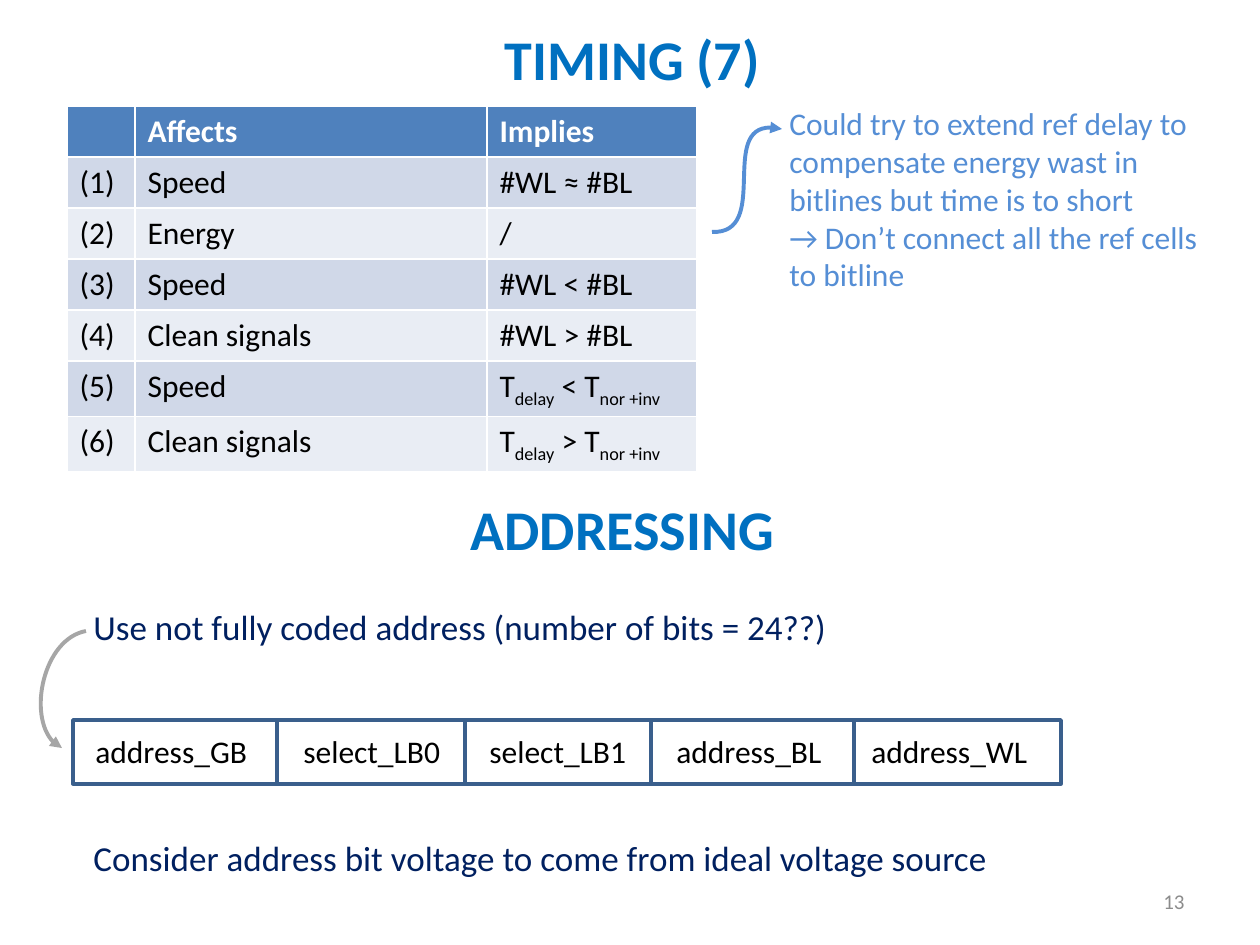
from lxml import etree
from pptx import Presentation
from pptx import util as u
from pptx.dml.color import RGBColor
from pptx.enum import shapes, text
from pptx.oxml import ns

PX = 914400 / 126
FONT = "Calibri"
WHITE = RGBColor(0xFF, 0xFF, 0xFF)
BLACK = RGBColor(0x00, 0x00, 0x00)
TITLE_BLUE = RGBColor(0x00, 0x70, 0xC0)
NOTE_BLUE = RGBColor(0x55, 0x8E, 0xD5)
NAVY = RGBColor(0x00, 0x20, 0x60)
FRAME_BLUE = RGBColor(0x3A, 0x5F, 0x8C)
HEADER_BLUE = RGBColor(0x4F, 0x81, 0xBD)
BANDS = (RGBColor(0xD0, 0xD8, 0xE8), RGBColor(0xE9, 0xED, 0xF4))
GREY = RGBColor(0x8C, 0x8C, 0x8C)
ARROW_GREY = RGBColor(0xA6, 0xA6, 0xA6)

COLUMNS = (68, 352, 210)
ROW_HEIGHT = 51
EFFECTS = (
    ("", "Affects", "Implies"),
    ("(1)", "Speed", "#WL ≈ #BL"),
    ("(2)", "Energy", "/"),
    ("(3)", "Speed", "#WL < #BL"),
    ("(4)", "Clean signals", "#WL > #BL"),
    ("(5)", "Speed", "T|delay| < T|nor +inv"),
    ("(6)", "Clean signals", "T|delay| > T|nor +inv"),
)
NOTE = (
    "Could try to extend ref delay to compensate energy wast in bitlines "
    "but time is to short\n→ Don’t connect all the ref cells to bitline"
)
FIELDS = (
    ("address_GB", 83),
    ("select_LB0", 291),
    ("select_LB1", 477),
    ("address_BL", 664),
    ("address_WL", 859),
)
DIVIDERS = (277, 465, 651, 854)


def px(length):
    """Turn pixels into EMU."""
    return u.Emu(round(length * PX))


def style_run(run, size, color, bold=False):
    """Give a run its font, size, colour and weight."""
    run.font.name = FONT
    run.font.size = u.Pt(size)
    run.font.color.rgb = color
    run.font.bold = bold


def add_label(slide, box, words, size, color, bold=False,
              align=text.PP_ALIGN.LEFT, anchor=text.MSO_ANCHOR.TOP, indent=0):
    """Add a wrapped text box in one style."""
    frame = slide.shapes.add_textbox(*map(px, box)).text_frame
    frame.word_wrap = True
    frame.vertical_anchor = anchor
    frame.text = words
    for paragraph in frame.paragraphs:
        paragraph.alignment = align
        if indent:
            paragraph._p.get_or_add_pPr().set("marL", str(px(indent)))
        for run in paragraph.runs:
            style_run(run, size, color, bold)


def add_title(slide, left, top, words):
    """Add a centred section title."""
    add_label(slide, (left, top, 1171, 81), words, 32, TITLE_BLUE, True,
              text.PP_ALIGN.CENTER)


def fill_cell(cell, words, fill, color, bold):
    """Fill a cell, lowering every second part between bars."""
    cell.fill.solid()
    cell.fill.fore_color.rgb = fill
    paragraph = cell.text_frame.paragraphs[0]
    for index, part in enumerate(words.split("|")):
        run = paragraph.add_run()
        run.text = part
        style_run(run, 18, color, bold)
        if index % 2:
            run._r.get_or_add_rPr().set("baseline", "-25000")


def add_effects_table(slide, left, top):
    """Add the table of timing effects."""
    size = (sum(COLUMNS), ROW_HEIGHT * len(EFFECTS))
    table = slide.shapes.add_table(
        len(EFFECTS), len(COLUMNS), *map(px, (left, top, *size))).table
    for column, width in zip(table.columns, COLUMNS):
        column.width = px(width)
    for row, entries in enumerate(EFFECTS):
        header = row == 0
        fill = HEADER_BLUE if header else BANDS[(row - 1) % 2]
        for column, words in enumerate(entries):
            fill_cell(table.cell(row, column), words, fill,
                      WHITE if header else BLACK, header)


def add_curved_arrow(slide, points, color):
    """Add a Bezier arrow through a start, two controls and an end."""
    builder = slide.shapes.build_freeform(*points[0], scale=PX)
    builder.add_line_segments(points[1:], close=False)
    arrow = builder.convert_to_shape()
    arrow.shadow.inherit = False
    arrow.fill.background()
    arrow.line.color.rgb = color
    arrow.line.width = u.Pt(2.25)
    outline = arrow.line._get_or_add_ln()
    etree.SubElement(outline, ns.qn("a:tailEnd"), type="triangle")
    route = next(arrow._element.iter(ns.qn("a:path")))
    curve = etree.SubElement(route, ns.qn("a:cubicBezTo"))
    for segment in route.findall(ns.qn("a:lnTo")):
        curve.append(segment[0])
        route.remove(segment)


def add_divider(slide, x, top, bottom):
    """Add a vertical line between address fields."""
    divider = slide.shapes.add_connector(
        shapes.MSO_CONNECTOR.STRAIGHT, *map(px, (x, top, x, bottom)))
    divider.line.color.rgb = FRAME_BLUE
    divider.line.width = u.Pt(2)
    etree.SubElement(divider._element.spPr, ns.qn("a:effectLst"))


def add_address_bar(slide):
    """Add the framed address with its fields."""
    frame = slide.shapes.add_shape(
        shapes.MSO_SHAPE.RECTANGLE, *map(px, (73, 720, 988, 64)))
    frame.shadow.inherit = False
    frame.fill.background()
    frame.line.color.rgb = FRAME_BLUE
    frame.line.width = u.Pt(2)
    for name, left in FIELDS:
        add_label(slide, (left, 726, 190, 50), name, 18, BLACK)
    for x in DIVIDERS:
        add_divider(slide, x, 722, 783)


def main():
    """Build and save the slide."""
    deck = Presentation()
    deck.slide_width, deck.slide_height = px(1260), px(945)
    slide = deck.slides.add_slide(deck.slide_layouts[6])
    add_label(slide, (903, 876, 294, 50), "13", 12, GREY,
              align=text.PP_ALIGN.RIGHT, anchor=text.MSO_ANCHOR.MIDDLE)
    add_title(slide, 47, 18, "TIMING (7)")
    add_effects_table(slide, 67, 106)
    add_curved_arrow(
        slide, ((712, 232), (771, 234), (712, 113), (782, 129)), NOTE_BLUE)
    add_label(slide, (714, 98, 523, 204), NOTE, 18, NOTE_BLUE, indent=63)
    add_title(slide, 37, 488, "ADDRESSING")
    add_address_bar(slide)
    add_label(slide, (81, 599, 988, 55),
              "Use not fully coded address (number of bits = 24??)", 20, NAVY)
    add_curved_arrow(
        slide, ((86, 631), (43, 639), (24, 731), (62, 748)), ARROW_GREY)
    add_label(slide, (81, 830, 988, 55),
              "Consider address bit voltage to come from ideal voltage source",
              20, NAVY)
    deck.save("out.pptx")


if __name__ == "__main__":
    main()
